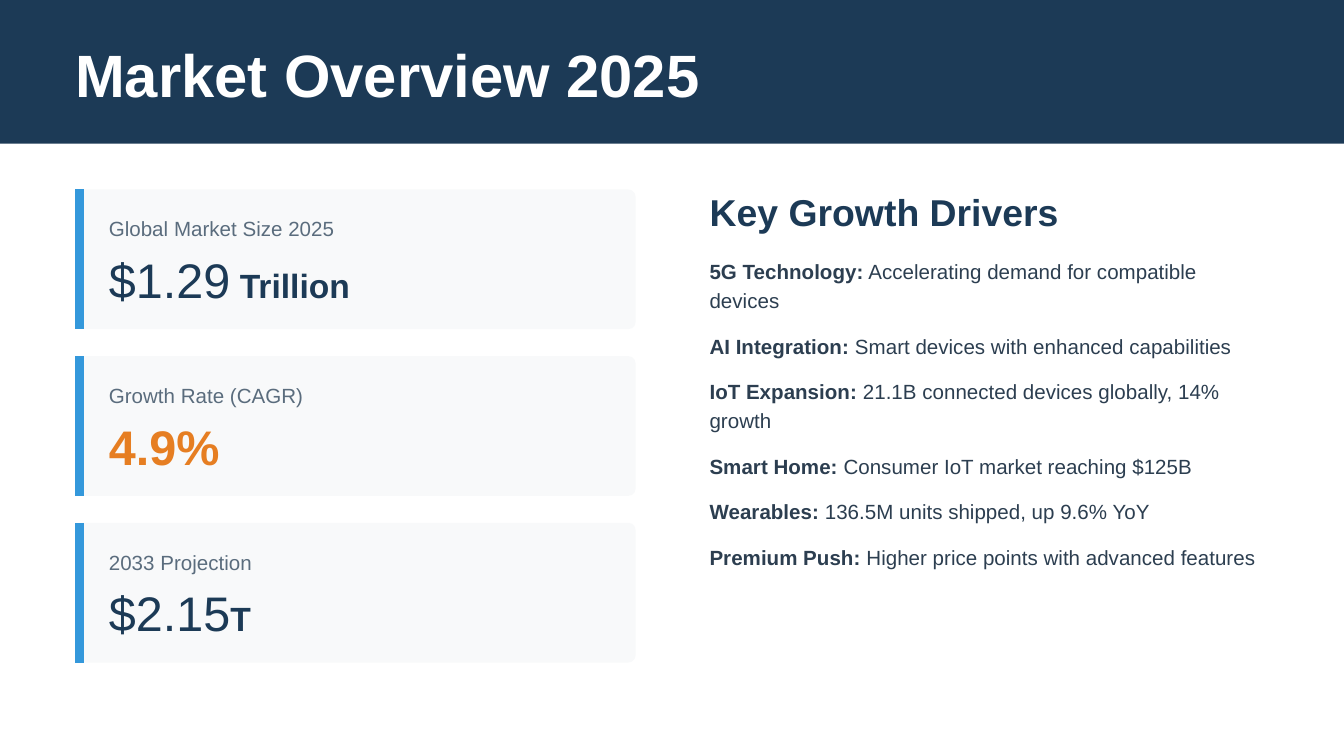
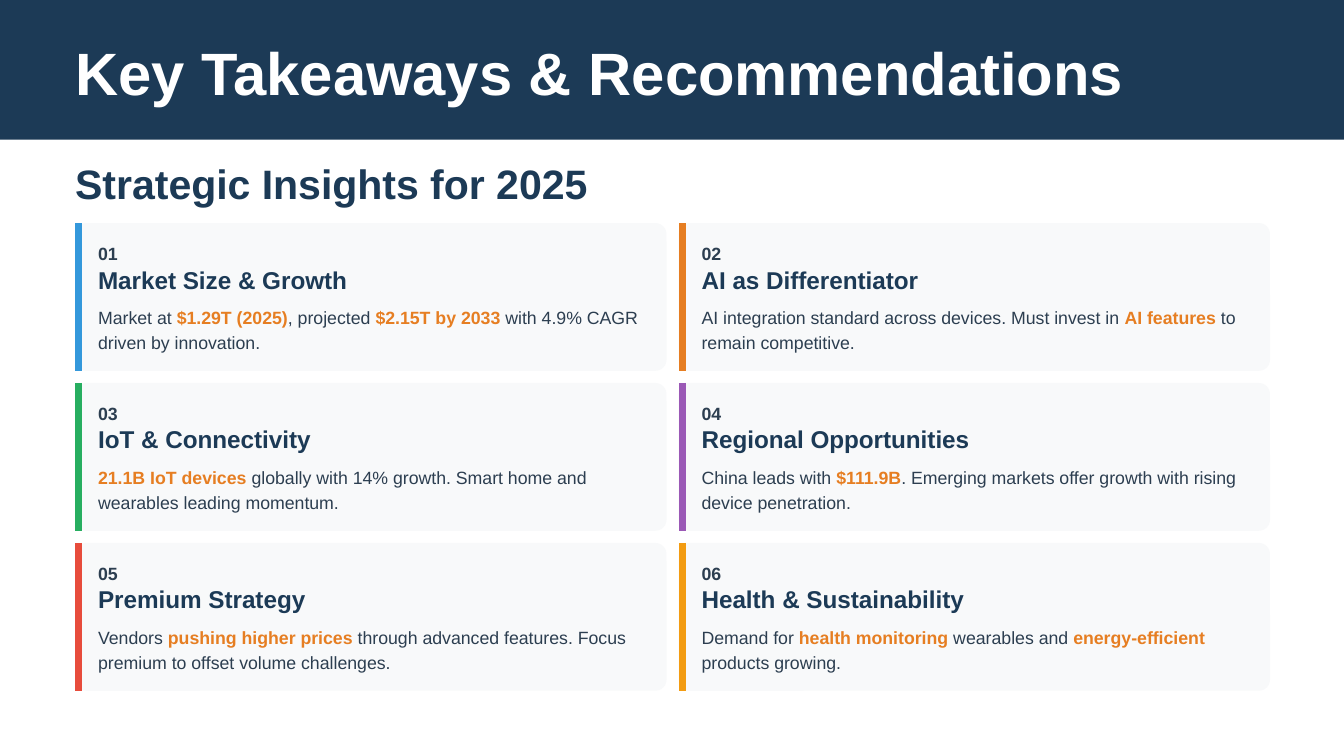
"""Build two slides on the 2025 device market: an overview and the key takeaways."""
import pptx
import pptx.dml.color
import pptx.enum.shapes
import pptx.oxml.ns
import pptx.util
from lxml import etree

COLORS = {
    "navy": "1C3A56", "white": "FFFFFF", "card": "F8F9FA", "label": "5A6C7D", "body": "2C3E50",
    "blue": "3498DB", "orange": "E67E22", "green": "27AE60", "purple": "9B59B6",
    "red": "E74C3C", "amber": "F39C12",
}
FONT = "Arial"
SLIDE_WIDTH, SLIDE_HEIGHT = 10, 5.625
MARGIN = 0.56
TITLE_HEIGHT = 0.51


def add_panel(slide, left, top, width, height, fill, radius=0, accent=None, accent_points=0):
    """Add a plain or rounded panel, with an accent line inside its left edge if asked."""
    kinds = pptx.enum.shapes.MSO_SHAPE
    box = [pptx.util.Inches(length) for length in (left, top, width, height)]
    shape = slide.shapes.add_shape(kinds.ROUNDED_RECTANGLE if radius else kinds.RECTANGLE, *box)
    if radius:
        shape.adjustments[0] = radius
    shape.shadow.inherit = False
    shape.fill.solid()
    shape.fill.fore_color.rgb = pptx.dml.color.RGBColor.from_string(COLORS[fill])
    shape.line.fill.background()
    if accent:
        center = pptx.util.Inches(left) + pptx.util.Pt(accent_points / 2)
        connector = slide.shapes.add_connector(
            pptx.enum.shapes.MSO_CONNECTOR.STRAIGHT, center, box[1], center, box[1] + box[3])
        connector.line.color.rgb = pptx.dml.color.RGBColor.from_string(COLORS[accent])
        connector.line.width = pptx.util.Pt(accent_points)
        properties = connector._element.find(pptx.oxml.ns.qn("p:spPr"))
        etree.SubElement(properties, pptx.oxml.ns.qn("a:effectLst"))


def add_text(slide, left, top, width, height, paragraphs, line_points=None, after_points=0):
    """Add a text box; each paragraph is a list of (text, size, color, bold) runs."""
    shape = slide.shapes.add_textbox(
        *[pptx.util.Inches(length) for length in (left, top, width, height)])
    frame = shape.text_frame
    frame.word_wrap = True
    frame.margin_left = frame.margin_top = frame.margin_right = frame.margin_bottom = 0
    for index, runs in enumerate(paragraphs):
        paragraph = frame.add_paragraph() if index else frame.paragraphs[0]
        paragraph.space_after = pptx.util.Pt(after_points)
        if line_points:
            paragraph.line_spacing = pptx.util.Pt(line_points)
        for text, size, color, bold in runs:
            run = paragraph.add_run()
            run.text = text
            run.font.name = FONT
            run.font.size = pptx.util.Pt(size)
            run.font.bold = bold
            run.font.color.rgb = pptx.dml.color.RGBColor.from_string(COLORS[color])


presentation = pptx.Presentation()
presentation.slide_width = pptx.util.Inches(SLIDE_WIDTH)
presentation.slide_height = pptx.util.Inches(SLIDE_HEIGHT)

slides = []
for title, band_height in [("Market Overview 2025", 1.07), ("Key Takeaways & Recommendations", 1.04)]:
    slide = presentation.slides.add_slide(presentation.slide_layouts[6])
    add_panel(slide, 0, 0, SLIDE_WIDTH, band_height, "navy")
    add_text(slide, MARGIN, (band_height - TITLE_HEIGHT) / 2, 9.07, TITLE_HEIGHT,
             [[(title, 32, "white", True)]])
    slides.append(slide)
overview, takeaways = slides

METRIC_TOP, METRIC_PITCH = 1.41, 1.24
metrics = [
    ("Global Market Size 2025", [("$1.29", 26, "navy", False), (" Trillion", 18, "navy", True)]),
    ("Growth Rate (CAGR)", [("4.9%", 26, "orange", True)]),
    ("2033 Projection", [("$2.15", 26, "navy", False), ("T", 18, "navy", True)]),
]
for row, (label, value) in enumerate(metrics):
    top = METRIC_TOP + row * METRIC_PITCH
    add_panel(overview, MARGIN, top, 4.17, 1.04, "card", 0.053, "blue", 4.5)
    add_text(overview, MARGIN + 0.25, top + 0.2, 3.79, 0.17,
             [[(label, 11, "label", False)]], after_points=6)
    add_text(overview, MARGIN + 0.25, top + 0.45, 3.79, 0.41, [value])

DRIVERS_LEFT = 5.28
drivers = [
    ("5G Technology:", " Accelerating demand for compatible devices"),
    ("AI Integration:", " Smart devices with enhanced capabilities"),
    ("IoT Expansion:", " 21.1B connected devices globally, 14% growth"),
    ("Smart Home:", " Consumer IoT market reaching $125B"),
    ("Wearables:", " 136.5M units shipped, up 9.6% YoY"),
    ("Premium Push:", " Higher price points with advanced features"),
]
add_text(overview, DRIVERS_LEFT, METRIC_TOP, 4.25, 0.32,
         [[("Key Growth Drivers", 20, "navy", True)]], after_points=12)
add_text(overview, DRIVERS_LEFT, 1.9, 4.17, 2.55,
         [[(name, 11, "body", True), (detail, 11, "body", False)] for name, detail in drivers],
         line_points=15.4, after_points=9)

add_text(takeaways, MARGIN, 1.18, 9.07, 0.35,
         [[("Strategic Insights for 2025", 22, "navy", True)]], after_points=9)

INSIGHT_COLUMNS = 2
INSIGHT_TOP, INSIGHT_PITCH_X, INSIGHT_PITCH_Y = 1.66, 4.49, 1.19
HIGHLIGHT_MARK = "*"
insights = [
    ("blue", "Market Size & Growth",
     "Market at *$1.29T (2025)*, projected *$2.15T by 2033* with 4.9% CAGR driven by innovation."),
    ("orange", "AI as Differentiator",
     "AI integration standard across devices. Must invest in *AI features* to remain competitive."),
    ("green", "IoT & Connectivity",
     "*21.1B IoT devices* globally with 14% growth. Smart home and wearables leading momentum."),
    ("purple", "Regional Opportunities",
     "China leads with *$111.9B*. Emerging markets offer growth with rising device penetration."),
    ("red", "Premium Strategy",
     "Vendors *pushing higher prices* through advanced features. "
     "Focus premium to offset volume challenges."),
    ("amber", "Health & Sustainability",
     "Demand for *health monitoring* wearables and *energy-efficient* products growing."),
]
for index, (accent, heading, detail) in enumerate(insights):
    row, column = divmod(index, INSIGHT_COLUMNS)
    left = MARGIN + column * INSIGHT_PITCH_X
    top = INSIGHT_TOP + row * INSIGHT_PITCH_Y
    detail_runs = [(text, 9.5, "orange" if part % 2 else "body", part % 2 == 1)
                   for part, text in enumerate(detail.split(HIGHLIGHT_MARK)) if text]
    add_panel(takeaways, left, top, 4.4, 1.1, "card", 0.076, accent, 3.75)
    add_text(takeaways, left + 0.17, top + 0.12, 4.18, 0.18,
             [[(f"{index + 1:02d}", 9.5, "body", True)]], line_points=13.3)
    add_text(takeaways, left + 0.17, top + 0.31, 4.18, 0.22,
             [[(heading, 13, "navy", True)]], after_points=5)
    add_text(takeaways, left + 0.17, top + 0.6, 4.18, 0.37, [detail_runs], line_points=13.3)

presentation.save("out.pptx")
